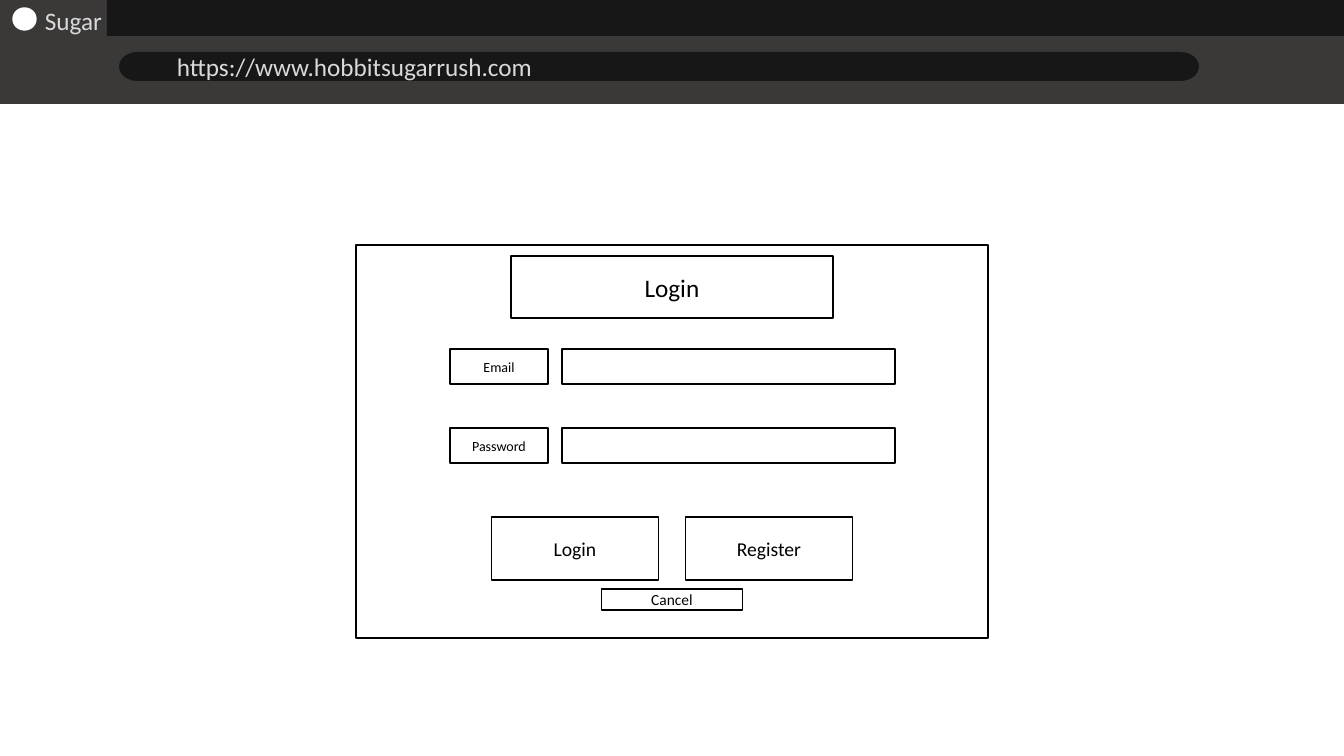
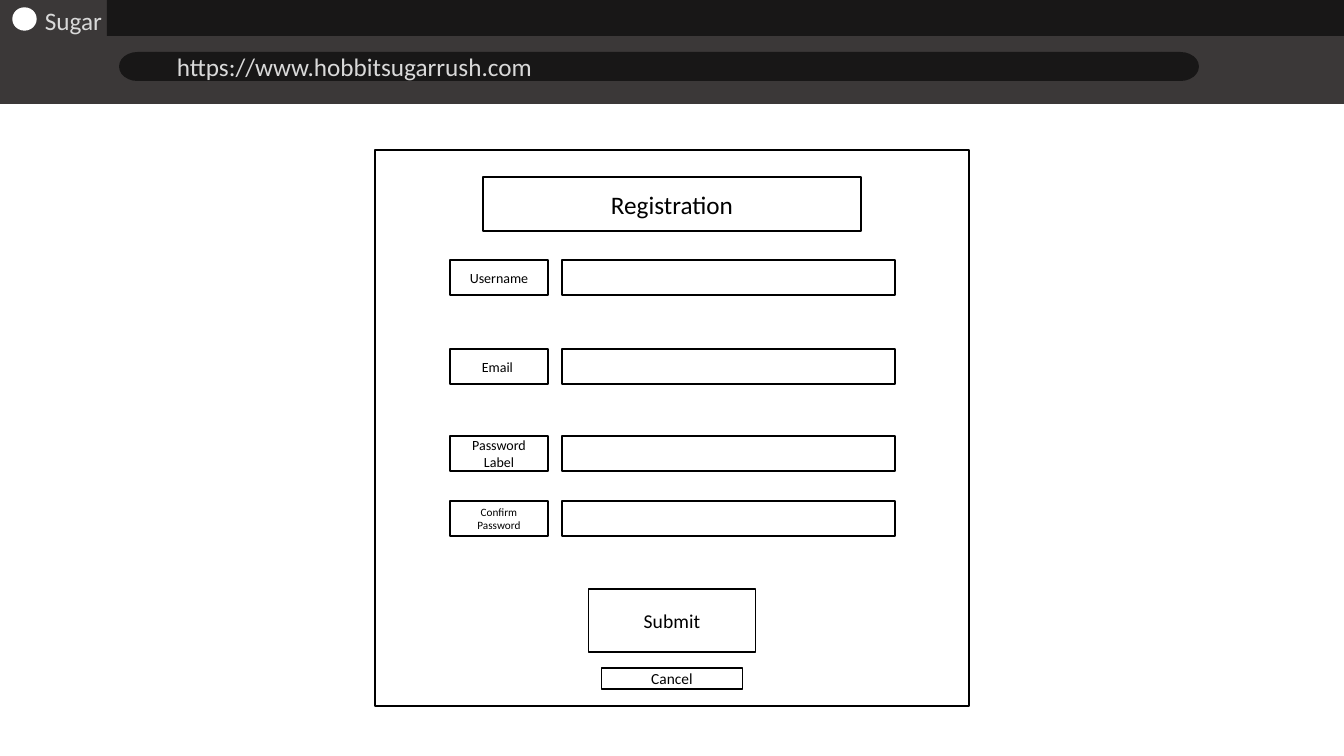
import pptx
import pptx.util
import pptx.dml.color
import pptx.enum.shapes
import pptx.enum.text

# Content: each form has a frame, a title, rows, buttons and a cancel button
TAB = "Sugar"
URL = "https://www.hobbitsugarrush.com"
FORMS = [
    {
        "frame": (245, 632, 393),  # top, width, height
        "title": ("Login", 256, 322, 62),  # text, top, width, height
        "rows": [("Email", 349, 10), ("Password", 428, 10)],  # text, top, size
        "buttons": (["Login", "Register"], 517),
        "cancel": 589,
    },
    {
        "frame": (150, 594, 556),
        "title": ("Registration", 177, 378, 54),
        "rows": [
            ("Username", 260, 10),
            ("Email ", 349, 10),
            ("Password Label", 436, 10),
            ("Confirm Password", 501, 8),
        ],
        "buttons": (["Submit"], 589),
        "cancel": 668,
    },
]

# Shared style
COLORS = {
    "bar": "3B3838",
    "dark": "181717",
    "pale": "D9D9D9",
    "white": "FFFFFF",
    "black": "000000",
}
FONT = "Calibri"
WIDE, HIGH = 1344, 756
MID = WIDE / 2
SCALE = 914400 / 100.8
KIND = pptx.enum.shapes.MSO_SHAPE
ALIGN = pptx.enum.text.PP_ALIGN
ANCHOR = pptx.enum.text.MSO_ANCHOR


def emu(*pixels):
    return [round(p * SCALE) for p in pixels]


def color(name):
    return pptx.dml.color.RGBColor.from_string(COLORS[name])


def write(shape, text, size, tint, align, anchor):
    frame = shape.text_frame
    for key, value in {"word_wrap": True, "vertical_anchor": anchor}.items():
        setattr(frame, key, value)
    para = frame.paragraphs[0]
    para.alignment = align
    run = para.add_run()
    run.text = text
    run.font.color.rgb = color(tint)
    for key, value in {"name": FONT, "size": pptx.util.Pt(size)}.items():
        setattr(run.font, key, value)


def draw(slide, kind, box, fill, line=None):
    shape = slide.shapes.add_shape(kind, *emu(*box))
    shape.shadow.inherit = False
    shape.fill.solid()
    shape.fill.fore_color.rgb = color(fill)
    if line:
        shape.line.color.rgb = color(line)
        shape.line.width = pptx.util.Pt(1)
    else:
        shape.line.fill.background()
    return shape


def label(slide, box, text):
    shape = slide.shapes.add_textbox(*emu(*box))
    write(shape, text, 18, "pale", ALIGN.LEFT, ANCHOR.TOP)


def panel(slide, box, text="", size=10):
    shape = draw(slide, KIND.RECTANGLE, box, "white", "black")
    if text:
        write(shape, text, size, "black", ALIGN.CENTER, ANCHOR.MIDDLE)


def center(top, width, height):
    return MID - width / 2, top, width, height


def browser(slide):
    # Window bar and tab strip
    draw(slide, KIND.RECTANGLE, (0, 0, WIDE, 103), "bar", "bar")
    draw(slide, KIND.RECTANGLE, (107, 0, WIDE - 107, 36), "dark")
    # Address field with rounded ends
    left, right, top, cap, high = 119, 1199, 52, 37, 29
    draw(slide, KIND.RECTANGLE,
         (left + cap, top, right - left - 2 * cap, high), "dark")
    for x, turn in ((right - cap, 0), (left, 180)):
        end = draw(slide, KIND.FLOWCHART_DELAY, (x, top, cap, high), "dark")
        end.rotation = turn
    label(slide, (167, 46, 914, 40), URL)
    # Tab icon and name
    draw(slide, KIND.FLOWCHART_CONNECTOR, (13, 8, 23, 22), "white", "white")
    label(slide, (35, 0, 275, 40), TAB)


def form(slide, data):
    panel(slide, center(*data["frame"]))
    # Title
    text, *place = data["title"]
    panel(slide, center(*place), text, 18)
    # Labels and input fields
    for text, top, size in data["rows"]:
        panel(slide, (450, top, 98, 35), text, size)
        panel(slide, (562, top, 333, 35))
    # Centred row of buttons
    names, top = data["buttons"]
    wide, gap = 167, 27
    start = MID - (len(names) * (wide + gap) - gap) / 2
    for i, name in enumerate(names):
        panel(slide, (start + i * (wide + gap), top, wide, 63), name, 14)
    panel(slide, center(data["cancel"], 141, 21), "Cancel", 11)


# Build the slides
deck = pptx.Presentation()
deck.slide_width, deck.slide_height = emu(WIDE, HIGH)
for data in FORMS:
    slide = deck.slides.add_slide(deck.slide_layouts[6])
    browser(slide)
    form(slide, data)
deck.save("out.pptx")
